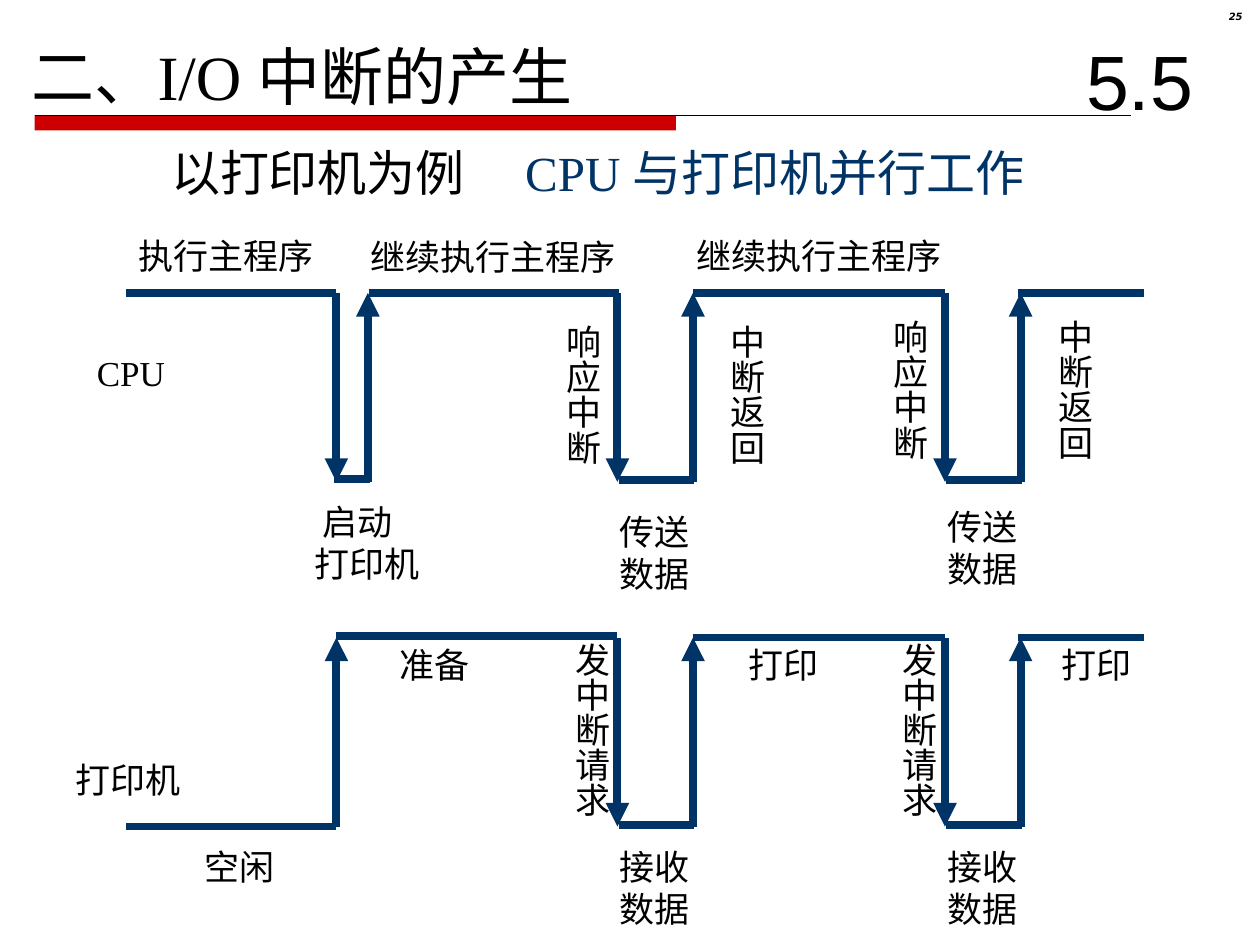
from lxml.etree import SubElement as sub
from pptx import Presentation
from pptx.dml.color import RGBColor as RGB
from pptx.enum.shapes import MSO_CONNECTOR as Link, MSO_SHAPE as Form
from pptx.enum.text import MSO_ANCHOR as Anchor, MSO_AUTO_SIZE as Fit, PP_ALIGN as Align
from pptx.oxml.ns import qn
from pptx.util import Inches, Pt

NAVY, RED, BLACK = "003366", "CC0000", "000000"
CPU, PRINT = 23.25, 50.6
DROP, GAP, STEP = 15, 6, 26
FALLS = (49, 49 + STEP)
SLACK = 0.6


def unit(n):
    """Turn grid units, 100 columns by 75 rows, into a length."""
    return Inches(round(n / 10, 3))


def tint(code):
    """Turn a hex string into a colour."""
    return RGB.from_string(code)


def place(shape, x, y, w, h):
    """Set a shape on the grid."""
    shape.left, shape.top, shape.width, shape.height = map(unit, (x, y, w, h))


def write(shape, text, size=20, color=BLACK, face="Times New Roman", align=Align.LEFT):
    """Fill a shape with formatted text and return its frame."""
    frame = shape.text_frame
    frame.text = text
    frame.word_wrap = False
    frame.auto_size = Fit.SHAPE_TO_FIT_TEXT
    frame.vertical_anchor = Anchor.TOP
    for para in frame.paragraphs:
        para.alignment = align
        for run in para.runs:
            font = run.font
            font.size, font.name = Pt(size), face
            font.color.rgb = tint(color)
    return frame


def label(slide, text, x, y, w, h=4.4, **style):
    """Add a text box on the grid and return its frame."""
    box = slide.shapes.add_textbox(*map(unit, (x, y, w, h)))
    return write(box, text, **style)


def column(slide, text, x, y):
    """Add a label that reads downward."""
    frame = label(slide, text, x, y, 5.3, 2 + 2.8 * len(text))
    frame.margin_left = frame.margin_right = unit(0.5)
    frame.margin_top = frame.margin_bottom = unit(1)
    frame._txBody.bodyPr.set("vert", "eaVert")


def line(slide, x1, y1, x2, y2, color=NAVY, width=4.5, arrow=False):
    """Join two grid points, with an arrowhead at the end if asked."""
    link = slide.shapes.add_connector(Link.STRAIGHT, *map(unit, (x1, y1, x2, y2)))
    link.line.color.rgb = tint(color)
    link.line.width = Pt(width)
    if arrow:
        sub(link.line._get_or_add_ln(), qn("a:tailEnd"), type="triangle")
    sub(link._element.spPr, qn("a:effectLst"))


def pulse(slide, x, top):
    """Draw one interrupt: down, across, and up again."""
    low = top + DROP
    line(slide, x, top, x, low, arrow=True)
    line(slide, x + GAP, low, x + GAP, top, arrow=True)
    line(slide, x + 0.1, low - 0.15, x + GAP + 0.1, low - 0.15)


def header(slide):
    """Set the title, the rule, the section number and the example line."""
    bar = slide.shapes.add_shape(Form.RECTANGLE, *map(unit, (2.75, 9.15, 50.9, 1.2)))
    bar.shadow.inherit = False
    bar.fill.solid()
    bar.fill.fore_color.rgb = tint(RED)
    bar.line.fill.background()
    line(slide, 2.75, 9.15, 89.8, 9.15, BLACK, 0.75)
    title = slide.shapes.title
    place(title, 1.5, 2.5, 47.3 + SLACK, 7)
    write(title, "二、I/O 中断的产生", 36)
    page = label(slide, "25", 93.7, 0.5, 5.9, 2.3, size=5.7,
                 face="DejaVu Sans", align=Align.RIGHT)
    page.word_wrap, page.auto_size = True, Fit.NONE
    para = page.paragraphs[0]
    para.line_spacing = 0.8
    para.runs[0].font.bold = para.runs[0].font.italic = True
    part = label(slide, "5.5", 84.2, 1.7, 12.5, 9.2, size=44,
                 face="Arial", align=Align.CENTER)
    part.word_wrap, part.auto_size = True, Fit.NONE
    part.vertical_anchor = Anchor.MIDDLE
    label(slide, "以打印机为例", 12.6, 10.8, 25.3 + SLACK, 5.7, size=28)
    label(slide, "CPU 与打印机并行工作", 40.7, 10.8, 42.5 + SLACK, 5.7, size=28, color=NAVY)


def words(slide):
    """Label both timelines."""
    for text, x, y, w in (
        ("CPU", 6.7, 27.4, 7.4), ("执行主程序", 10, 18.1, 15.9),
        ("继续执行主程序", 28.4, 18.2, 21.5), ("继续执行主程序", 54.3, 18.1, 21.5),
        ("打印机", 5, 59.7, 10.3), (" 空闲", 14.6, 66.6, 8.2),
        ("准备", 30.7, 50.6, 7.5), ("打印", 58.4, 50.6, 7.5), ("打印", 83.3, 50.6, 7.5),
    ):
        label(slide, text, x, y, w + SLACK)
    label(slide, " 启动\n打印机", 24, 39.2, 10.3 + SLACK, 7.7)
    for x, y in zip(FALLS, (24.8, 24.4)):
        column(slide, "响应中断", x - 5.9, y)
        column(slide, "中断返回", x + 7.15, y)
        column(slide, "发中断请求", x - 5.2, 50)
        label(slide, "传送\n数据", x - 0.8, y + 15.2, 7.5 + SLACK, 7.7)
        label(slide, "接收\n数据", x - 0.8, 66.6, 7.5 + SLACK, 7.7)


def waves(slide):
    """Draw the timelines of the processor and the printer."""
    start, back = 26.7, 29.2
    line(slide, 10, CPU, start, CPU)
    line(slide, start, CPU, start, CPU + DROP, arrow=True)
    line(slide, back, CPU + DROP, back, CPU, arrow=True)
    line(slide, start - 0.2, CPU + 14.8, back + 0.2, CPU + 14.8)
    line(slide, back + 0.1, CPU, FALLS[0] + 0.1, CPU)
    line(slide, 10, PRINT + DROP, start, PRINT + DROP)
    line(slide, start, PRINT + DROP, start, PRINT, arrow=True)
    line(slide, start, PRINT - 0.1, FALLS[0], PRINT - 0.1)
    for top in (CPU, PRINT):
        for x in FALLS:
            pulse(slide, x, top)
        line(slide, FALLS[0] + GAP, top, FALLS[1], top)
        line(slide, FALLS[1] + GAP - 0.2, top, 90.8, top)


def main():
    """Build and save the slide."""
    deck = Presentation()
    deck.slide_width, deck.slide_height = unit(100), unit(75)
    slide = deck.slides.add_slide(deck.slide_layouts[5])
    header(slide)
    words(slide)
    waves(slide)
    deck.save("out.pptx")


if __name__ == "__main__":
    main()
